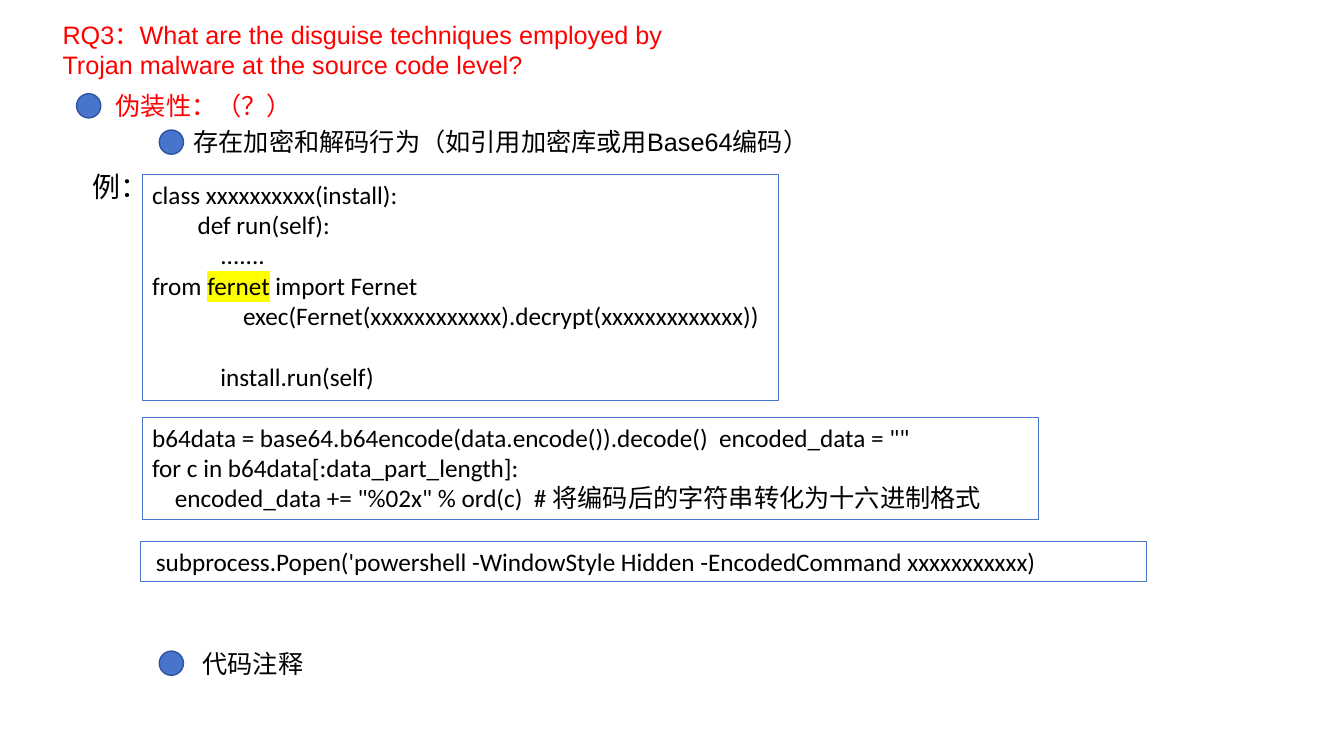
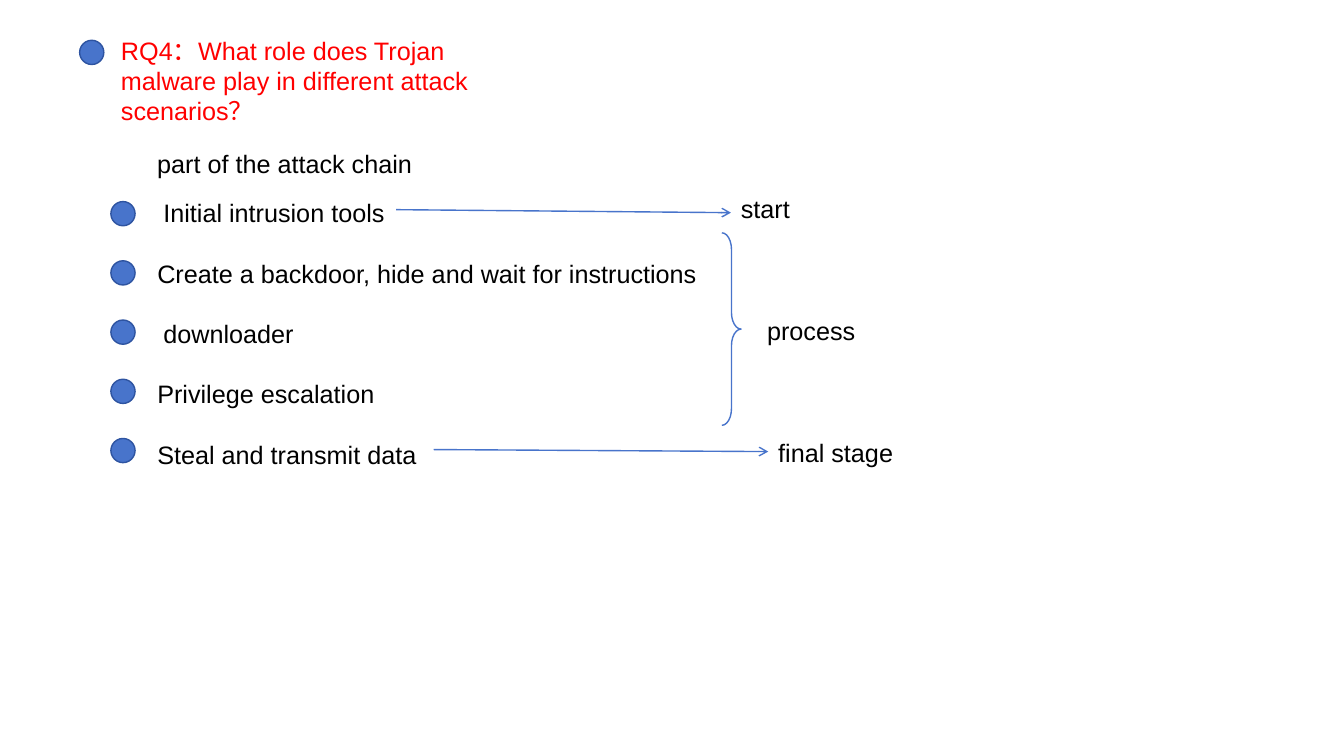
import pptx
import pptx.dml.color
import pptx.enum.dml
import pptx.enum.shapes
import pptx.enum.text
import pptx.oxml
import pptx.oxml.ns
import pptx.util
from pptx.util import Inches

COLORS = {
    "title": "FF0000",
    "text": "000000",
    "accent": "4874CB",
    "dot_edge": "2E54A1",
    "marker": "FFFF00",
}
TITLE_ONLY, TITLE_AND_BODY = 5, 1
DOT_SIZE = Inches(0.24)
LINE_HEIGHT = Inches(0.4)
CODE_LINE = pptx.util.Pt(22)

INSTALL_CODE = [
    "class xxxxxxxxxx(install):",
    "        def run(self):",
    "            .......",
    "from fernet import Fernet",
    "                exec(Fernet(xxxxxxxxxxxx).decrypt(xxxxxxxxxxxxx))",
    "            install.run(self)",
]
ENCODING_CODE = [
    'b64data = base64.b64encode(data.encode()).decode()  encoded_data = ""',
    "for c in b64data[:data_part_length]:",
    '    encoded_data += "%02x" % ord(c)  # 将编码后的字符串转化为十六进制格式',
]
SHELL_CODE = [
    " subprocess.Popen('powershell -WindowStyle Hidden -EncodedCommand xxxxxxxxxxx)",
]
# Each role with its extra indent
ATTACK_ROLES = [
    ("Initial intrusion tools", Inches(0.06)),
    ("Create a backdoor, hide and wait for instructions", 0),
    ("downloader", Inches(0.06)),
    ("Privilege escalation", 0),
    ("Steal and transmit data", 0),
]


def rgb(name):
    return pptx.dml.color.RGBColor.from_string(COLORS[name])


def xml_element(tag, **attributes):
    element = pptx.oxml.parse_xml(f"<a:{tag} {pptx.oxml.ns.nsdecls('a')}/>")
    for key, value in attributes.items():
        element.set(key, value)
    return element


class SlideBuilder:
    def __init__(self, deck):
        self.deck = deck
        self.page = None

    def new_page(self, layout):
        self.page = self.deck.slides.add_slide(self.deck.slide_layouts[layout])

    def place(self, shape, left, top, width, height):
        shape.left, shape.top, shape.width, shape.height = left, top, width, height

    def fill_text(self, shape, lines, color="text", size=18, font="Arial"):
        frame = shape.text_frame
        frame.text = "\n".join(lines)
        frame.word_wrap = True
        frame.auto_size = pptx.enum.text.MSO_AUTO_SIZE.NONE
        frame.vertical_anchor = pptx.enum.text.MSO_ANCHOR.TOP
        for para in frame.paragraphs:
            para.alignment = pptx.enum.text.PP_ALIGN.LEFT
            for span in para.runs:
                self.style(span, color, size, font)
        return frame

    def style(self, span, color="text", size=18, font="Arial"):
        span.font.name = font
        span.font.size = pptx.util.Pt(size)
        span.font.color.rgb = rgb(color)

    def outline(self, shape, color="accent", width=1):
        shape.line.color.rgb = rgb(color)
        shape.line.width = pptx.util.Pt(width)

    def title(self, text, left, top, width, height):
        holder = self.page.shapes.title
        self.place(holder, left, top, width, height)
        self.fill_text(holder, [text], "title")

    def label(self, text, left, top, width, height=LINE_HEIGHT, **look):
        box = self.page.shapes.add_textbox(left, top, width, height)
        self.fill_text(box, [text], **look)

    def body(self, items, left, top, width, height, gap):
        holder = self.page.placeholders[1]
        self.place(holder, left, top, width, height)
        frame = self.fill_text(holder, [text for text, indent in items])
        for index, para in enumerate(frame.paragraphs):
            para.space_before = gap if index else 0
            properties = para._p.get_or_add_pPr()
            properties.set("marL", str(int(items[index][1])))
            properties.set("indent", "0")
            properties.append(xml_element("buNone"))

    def shape(self, kind, left, top, width, height):
        shape = self.page.shapes.add_shape(kind, left, top, width, height)
        shape.shadow.inherit = False
        shape.fill.background()
        self.outline(shape)
        return shape

    def dot(self, left, top):
        dot = self.shape(pptx.enum.shapes.MSO_SHAPE.OVAL, left, top, DOT_SIZE, DOT_SIZE)
        dot.fill.solid()
        dot.fill.fore_color.rgb = rgb("accent")
        self.outline(dot, "dot_edge")

    def code(self, lines, left, top, width, height):
        box = self.shape(pptx.enum.shapes.MSO_SHAPE.RECTANGLE, left, top, width, height)
        self.outline(box, width=0.75)
        return self.fill_text(box, lines, font="Calibri")

    def highlight(self, para, word):
        """Split the paragraph's run around word and mark the word."""
        before, after = para.text.split(word)
        para.runs[0].text = before
        for text in (word, after):
            span = para.add_run()
            span.text = text
            self.style(span, font="Calibri")
        marker = xml_element("highlight")
        marker.append(xml_element("srgbClr", val=COLORS["marker"]))
        properties = para.runs[1]._r.get_or_add_rPr()
        properties.find(pptx.oxml.ns.qn("a:solidFill")).addnext(marker)

    def brace(self, left, top, width, height):
        brace = self.shape(pptx.enum.shapes.MSO_SHAPE.RIGHT_BRACE, left, top, width, height)
        brace.adjustments[0] = 0.87

    def arrow(self, left, top, right, bottom):
        arrow = self.page.shapes.add_connector(
            pptx.enum.shapes.MSO_CONNECTOR.STRAIGHT, left, top, right, bottom)
        self.outline(arrow)
        arrow.line._get_or_add_ln().append(xml_element("tailEnd", type="arrow"))
        arrow._element.spPr.append(xml_element("effectLst"))


def disguise_page(builder):
    builder.new_page(TITLE_ONLY)
    builder.title(
        "RQ3：What are the disguise techniques employed by Trojan malware at the source code level?",
        Inches(0.52), Inches(0.14), Inches(6.67), Inches(0.71))

    builder.dot(Inches(0.76), Inches(0.93))
    builder.label("伪装性：（？）", Inches(1.05), Inches(0.85), Inches(2.66), color="title")
    builder.dot(Inches(1.58), Inches(1.29))
    builder.label("存在加密和解码行为（如引用加密库或用Base64编码）",
                  Inches(1.82), Inches(1.2), Inches(7.69))
    builder.dot(Inches(1.58), Inches(6.46))
    builder.label("代码注释", Inches(1.91), Inches(6.38), Inches(7.69))

    builder.label("例：", Inches(0.82), Inches(1.63), Inches(0.8), Inches(0.44), size=20)
    frame = builder.code(INSTALL_CODE, Inches(1.41), Inches(1.73), Inches(6.31), Inches(2.24))
    builder.highlight(frame.paragraphs[3], "fernet")
    frame.paragraphs[-1].space_before = CODE_LINE
    builder.code(ENCODING_CODE, Inches(1.41), Inches(4.14), Inches(8.89), Inches(1.01))
    builder.code(SHELL_CODE, Inches(1.39), Inches(5.37), Inches(9.98), LINE_HEIGHT)


def attack_role_page(builder):
    builder.new_page(TITLE_AND_BODY)
    builder.title(
        "RQ4：What role does Trojan malware play in different attack scenarios？",
        Inches(1.1), Inches(0.3), Inches(4.28), Inches(1.01))
    builder.dot(Inches(0.79), Inches(0.4))

    builder.label("part of the attack chain", Inches(1.46), Inches(1.42), Inches(7.69))
    builder.body(ATTACK_ROLES, Inches(1.46), Inches(1.91), Inches(5.7), Inches(2.8),
                 gap=pptx.util.Pt(21.5))
    for row in range(len(ATTACK_ROLES)):
        builder.dot(Inches(1.1), Inches(2) + row * Inches(2.35) // 4)

    builder.arrow(Inches(3.93), Inches(2.08), Inches(7.25), Inches(2.11))
    builder.brace(Inches(7.16), Inches(2.31), Inches(0.19), Inches(1.91))
    builder.arrow(Inches(4.3), Inches(4.46), Inches(7.62), Inches(4.48))
    for stage, left, top in [("start", 7.25, 1.87), ("process", 7.51, 3.08),
                             ("final stage", 7.62, 4.29)]:
        builder.label(stage, Inches(left), Inches(top), Inches(2.5))


def main():
    deck = pptx.Presentation()
    deck.slide_width, deck.slide_height = Inches(13.33), Inches(7.5)
    builder = SlideBuilder(deck)
    disguise_page(builder)
    attack_role_page(builder)
    deck.save("out.pptx")


if __name__ == "__main__":
    main()
